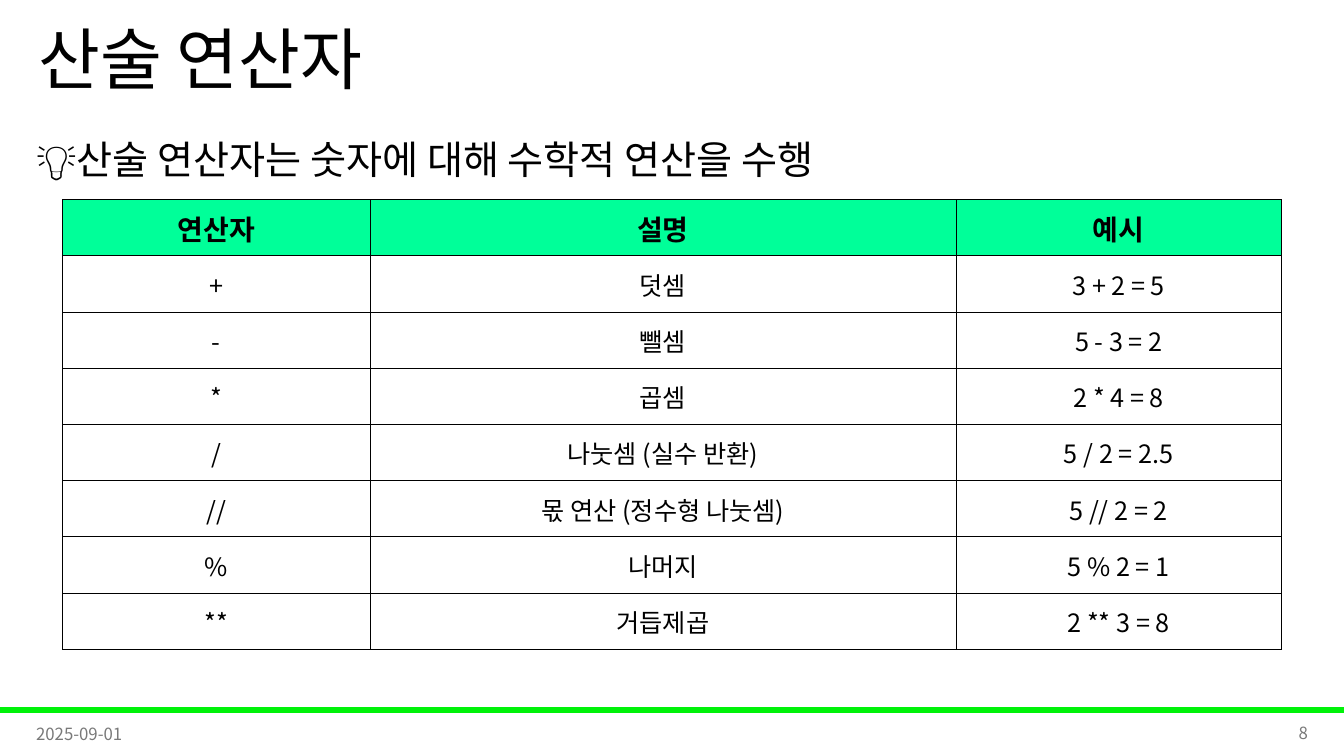
import pptx
import pptx.util
import pptx.oxml
import pptx.oxml.ns
import pptx.dml.color
import pptx.enum.shapes
import pptx.enum.text
from dataclasses import dataclass

Inches = pptx.util.Inches
Align = pptx.enum.text.PP_ALIGN
Anchor = pptx.enum.text.MSO_ANCHOR


@dataclass(frozen=True)
class Theme:
    face: str = "Noto Sans CJK KR"
    ink: str = "000000"
    gray: str = "797979"
    bar: str = "00F209"
    head: str = "00FF99"
    title: int = 48
    lead: int = 28
    label: int = 20
    body: int = 18
    small: int = 12


class Deck:
    def __init__(self, theme):
        self.theme = theme
        self.prs = pptx.Presentation()
        self.prs.slide_width = Inches(13.33)
        self.prs.slide_height = Inches(7.5)
        self.slide = self.prs.slides.add_slide(self.prs.slide_layouts[5])

    def color(self, code):
        return pptx.dml.color.RGBColor.from_string(code)

    def style(self, frame, text, size, color, align=Align.LEFT, bold=False, space=None):
        para = frame.paragraphs[0]
        para.text = text
        para.alignment = align
        para.space_before = pptx.util.Pt(0)
        if space:
            para.line_spacing = space
        font = para.font
        font.size = pptx.util.Pt(size)
        font.bold = bold
        font.color.rgb = self.color(color)
        font.name = self.theme.face
        base = para._p.pPr.find(pptx.oxml.ns.qn("a:defRPr"))
        base.append(pptx.oxml.parse_xml(
            f'<a:ea {pptx.oxml.ns.nsdecls("a")} typeface="{self.theme.face}"/>'))

    def title(self, text, left, top, width, height):
        shape = self.slide.shapes.title
        shape.left, shape.top = Inches(left), Inches(top)
        shape.width, shape.height = Inches(width), Inches(height)
        frame = shape.text_frame
        frame.auto_size = pptx.enum.text.MSO_AUTO_SIZE.NONE
        frame.vertical_anchor = Anchor.MIDDLE
        self.style(frame, text, self.theme.title, self.theme.ink, space=0.9)

    def text(self, text, box, size, color, anchor=Anchor.MIDDLE, **style):
        frame = self.slide.shapes.add_textbox(*map(Inches, box)).text_frame
        frame.word_wrap = True
        frame.vertical_anchor = anchor
        self.style(frame, text, size, color, **style)

    def bar(self, *box):
        shape = self.slide.shapes.add_shape(
            pptx.enum.shapes.MSO_SHAPE.RECTANGLE, *map(Inches, box))
        shape.shadow.inherit = False
        shape.fill.solid()
        shape.fill.fore_color.rgb = self.color(self.theme.bar)
        shape.line.color.rgb = self.color(self.theme.bar)
        shape.line.width = pptx.util.Pt(1)

    def border(self, cell):
        props = cell._tc.get_or_add_tcPr()
        for side in ("lnL", "lnR", "lnT", "lnB"):
            props.append(pptx.oxml.parse_xml(
                f'<a:{side} {pptx.oxml.ns.nsdecls("a")} w="6350"><a:solidFill>'
                f'<a:srgbClr val="{self.theme.ink}"/></a:solidFill></a:{side}>'))

    def cell(self, cell, text, head):
        cell.margin_left = cell.margin_right = cell.margin_top = Inches(0.01)
        cell.margin_bottom = 0
        cell.vertical_anchor = Anchor.MIDDLE
        self.border(cell)
        if head:
            cell.fill.solid()
            cell.fill.fore_color.rgb = self.color(self.theme.head)
        else:
            cell.fill.background()
        size = self.theme.label if head else self.theme.body
        self.style(cell.text_frame, text, size, self.theme.ink, Align.CENTER, head)

    def table(self, rows, left, top, widths, height):
        table = self.slide.shapes.add_table(
            len(rows), len(widths), Inches(left), Inches(top),
            Inches(sum(widths)), Inches(height)).table
        table.first_row = table.horz_banding = False
        for col, width in zip(table.columns, widths):
            col.width = Inches(width)
        for r, row in enumerate(rows):
            for c, text in enumerate(row):
                self.cell(table.cell(r, c), text, r == 0)


ROWS = [
    ("연산자", "설명", "예시"),
    ("+", "덧셈", "3 + 2 = 5"),
    ("-", "뺄셈", "5 - 3 = 2"),
    ("*", "곱셈", "2 * 4 = 8"),
    ("/", "나눗셈 (실수 반환)", "5 / 2 = 2.5"),
    ("//", "몫 연산 (정수형 나눗셈)", "5 // 2 = 2"),
    ("%", "나머지", "5 % 2 = 1"),
    ("**", "거듭제곱", "2 ** 3 = 8"),
]


def main():
    theme = Theme()
    deck = Deck(theme)
    deck.bar(0, 7.02, 13.33, 0.05)
    deck.title("산술 연산자", 0.28, 0, 11.5, 1.25)
    deck.text("2025-09-01", (0.26, 7.08, 3, 0.4), theme.small, theme.gray)
    deck.text("8", (10.07, 7.07, 3, 0.4), theme.small, theme.gray, align=Align.RIGHT)
    deck.text("💡산술 연산자는 숫자에 대해 수학적 연산을 수행", (0.26, 1.06, 12.8, 0.88),
              theme.lead, theme.ink, Anchor.TOP, space=1.5)
    deck.table(ROWS, 0.62, 1.98, (3.05, 5.81, 3.23), 4.46)
    deck.prs.save("out.pptx")


if __name__ == "__main__":
    main()
